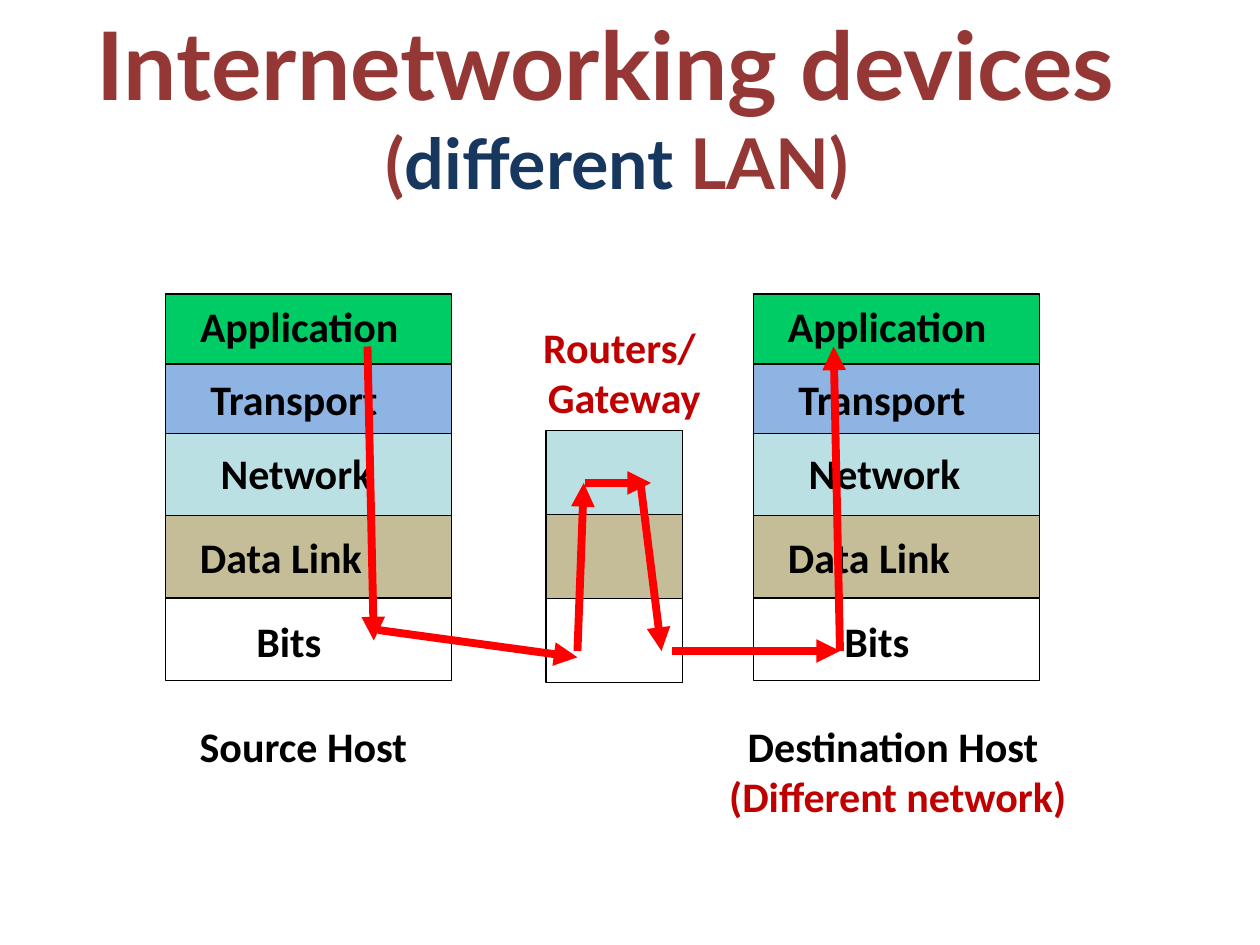
"""Build a slide on how data passes between two hosts on different LANs."""
from lxml.etree import SubElement
from pptx import Presentation
from pptx.dml.color import RGBColor
from pptx.enum.shapes import MSO_CONNECTOR, MSO_SHAPE
from pptx.enum.text import MSO_AUTO_SIZE, PP_ALIGN
from pptx.oxml.ns import qn
from pptx.util import Inches, Pt

presentation = Presentation()
presentation.slide_width = Inches(10)
presentation.slide_height = Inches(7.5)
slide = presentation.slides.add_slide(presentation.slide_layouts[6])
column = presentation.slide_width / 120
row = presentation.slide_height / 90


def color(value):
    return RGBColor.from_string(value)


def add_text(left, top, width, height, lines, font="Calibri"):
    box = slide.shapes.add_textbox(
        int(left * column), int(top * row), int(width * column), int(height * row))
    frame = box.text_frame
    frame.word_wrap = False
    frame.auto_size = MSO_AUTO_SIZE.SHAPE_TO_FIT_TEXT
    for index, line in enumerate(lines):
        paragraph = frame.add_paragraph() if index else frame.paragraphs[0]
        paragraph.alignment = PP_ALIGN.CENTER
        for text, size, value in line:
            run = paragraph.add_run()
            run.text = text
            run.font.name = font
            run.font.size = Pt(size)
            run.font.bold = True
            run.font.color.rgb = color(value)


BLACK, RED, BROWN, NAVY = "000000", "C00000", "953735", "17375E"
host_layers = [
    ("Application", "00CC66", 28, 6.6, 28, 2, 21.5),
    ("Transport", "8EB4E3", 34.75, 6.6, 35, 3, 18.5),
    ("Network", "BBE0E3", 41.3, 7.8, 42, 4, 17),
    ("Data Link", "C4BD97", 49.1, 7.8, 50, 2, 18),
    ("Bits", "FFFFFF", 57, 7.8, 58, 7.4, 8.75),
]
host_lefts = [15.75, 71.75]

boxes = [(left, top, 27.25, height, fill)
         for left in host_lefts
         for name, fill, top, height, *label in host_layers]
boxes += [(52, 41 + 8 * index, 13, 8, layer[1])
          for index, layer in enumerate(host_layers[2:])]
for left, top, width, height, fill in boxes:
    shape = slide.shapes.add_shape(
        MSO_SHAPE.RECTANGLE,
        int(left * column), int(top * row), int(width * column), int(height * row))
    shape.shadow.inherit = False
    shape.fill.solid()
    shape.fill.fore_color.rgb = color(fill)
    shape.line.color.rgb = color(BLACK)
    shape.line.width = Pt(0.75)

for left in host_lefts:
    for name, fill, top, height, label_top, indent, label_width in host_layers:
        add_text(left + indent, label_top, label_width, 6, [[(name, 24, BLACK)]])

add_text(17.75, 68, 22.3, 6, [[("Source Host", 24, BLACK)]])
add_text(68, 68, 35, 11, [[("Destination Host ", 24, BLACK)],
                          [("(Different network)", 24, RED)]])
add_text(50, 30, 18, 11, [[("Routers/", 24, RED)], [(" Gateway", 24, RED)]])

arrows = [
    (55.7, 46, 62, 46),
    (61, 46, 63, 62),
    (55, 62, 55.6, 46),
    (35, 33, 35.6, 61),
    (64, 62, 80, 62),
    (80, 62, 79.4, 33),
    (36, 60, 55, 62.6),
]
for start_column, start_row, end_column, end_row in arrows:
    connector = slide.shapes.add_connector(
        MSO_CONNECTOR.STRAIGHT,
        int(start_column * column), int(start_row * row),
        int(end_column * column), int(end_row * row))
    connector.line.color.rgb = color("FF0000")
    connector.line.width = Pt(4.5)
    SubElement(connector.line._get_or_add_ln(), qn("a:tailEnd"), type="triangle")
    SubElement(connector._element.spPr, qn("a:effectLst"))

add_text(0, 0, 117.5, 20.2, [
    [("Internetworking devices ", 54, BROWN)],
    [("(", 40, BROWN), ("different", 40, NAVY), (" LAN)", 40, BROWN)],
], "Lato")

presentation.save("out.pptx")
